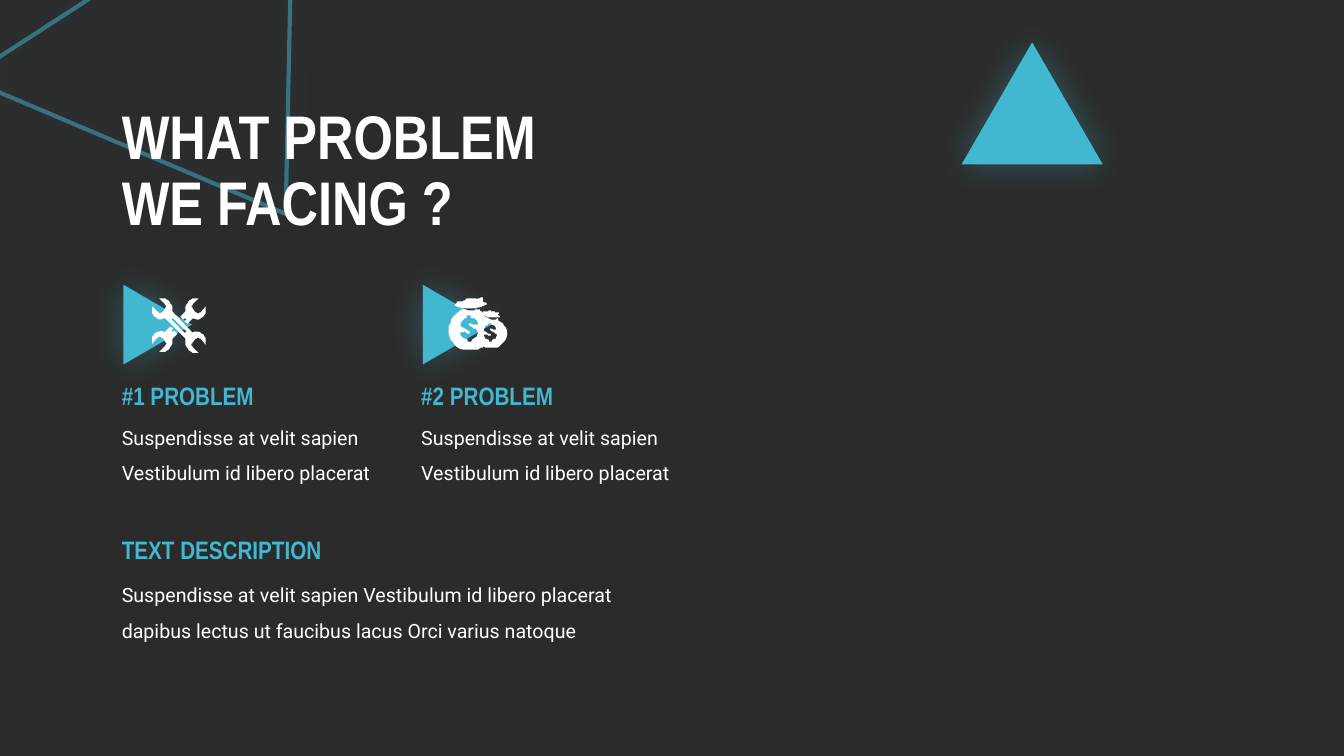
from dataclasses import dataclass

from lxml.etree import SubElement
from pptx import Presentation
from pptx.dml.color import RGBColor
from pptx.enum.shapes import MSO_SHAPE
from pptx.enum.text import MSO_ANCHOR, MSO_AUTO_SIZE
from pptx.oxml.ns import qn
from pptx.shapes.autoshape import Shape
from pptx.slide import Slide
from pptx.util import Pt

DARK = RGBColor(0x2B, 0x2B, 0x2B)
CYAN = RGBColor(0x41, 0xB7, 0xD0)
WHITE = RGBColor(0xFF, 0xFF, 0xFF)

LEFT = 79.92
COLUMN_PITCH = 213.84
ICON_UNIT = 0.72
WRENCH_SIZE = 55
CURVE_STEPS = 6


@dataclass(frozen=True)
class Triangle:
    left: float
    top: float
    width: float
    height: float
    rotation: float = 0
    outlined: bool = False


@dataclass(frozen=True)
class TextStyle:
    font: str
    size: float
    color: RGBColor
    bold: bool = False
    line_spacing: float | None = None
    anchor: MSO_ANCHOR = MSO_ANCHOR.TOP
    auto_size: MSO_AUTO_SIZE = MSO_AUTO_SIZE.SHAPE_TO_FIT_TEXT


@dataclass(frozen=True)
class Label:
    text: str
    left: float
    top: float
    width: float
    height: float
    style: TextStyle


@dataclass(frozen=True)
class Icon:
    left: float
    top: float
    pieces: tuple[tuple[str, ...], ...]
    mirrored: tuple[int, ...] = ()


TITLE = TextStyle("Arial Narrow", 44, WHITE, True, 0.9, MSO_ANCHOR.MIDDLE, MSO_AUTO_SIZE.NONE)
HEADING = TextStyle("Arial Narrow", 18, CYAN, True)
BODY = TextStyle("Roboto", 14, WHITE, line_spacing=1.5)

WRENCH_HEAD = (
    "32 22, 33 21, 34 21, 35 22 35 22 34 23, 33 24, 36 26, 41 21, 45 22 49 22 52 19,"
    "54 16 55 12 54 9, 49 15, 47 16 46 16 44 15, 41 11, 40 10 40 8 41 7, 47 1,"
    "43 0 39 1 37 4, 34 7 33 11 34 14, 29 19"
)
WRENCH_BODY = (
    "52 37, 49 34 45 33 41 35, 21 14, 22 11 21 7 18 4, 16 1 12 0 8 1, 14 7,"
    "15 8 15 10 14 11, 11 15, 9 16 8 16 7 15, 1 9, 0 12 1 16 3 19, 6 22 10 22 14 21,"
    "34 41, 33 45 34 49 37 52, 39 55 43 55 47 55, 41 49, 40 48 40 46 41 45, 44 41,"
    "46 40 47 40 49 41, 54 47, 55 44 54 40 52 37"
)
WRENCH_SLOT = "34 35, 33 35, 21 23, 20 22 20 22 21 21, 22 21, 34 33, 35 33 35 34 34 35"
BAGS = (
    "49 23, 50 22 50 22 49 22, 49 21, 48 21 47 22 45 22, 39 22 35 19 34 17,"
    "36 18 39 20 40 20, 41 20, 44 21 51 20 51 20, 51 19, 50 18 49 18 49 17,"
    "50 16 50 16 50 15, 49 15, 46 15, 46 15 46 14 45 14, 44 14 41 13 40 13,"
    "39 14 38 15 37 14, 36 14, 36 14 35 13 35 14, 34 14 34 15 34 15, 33 15,"
    "33 14 32 14 31 13, 31 12, 29 12 25 13 22 13, 19 13 15 12 13 12, 12 13,"
    "5 17 0 24 0 33, 0 39 3 45 8 49, 13 53 27 54 32 50, 33 50 34 49 35 49,"
    "39 51 47 51 50 49, 54 46 58 41 58 36, 58 30 54 25 49 23"
)
LARGE_DOLLAR = (
    "23 42, 23 44, 19 44, 19 42, 14 41 12 39 11 35, 12 35, 16 34, 17 34,"
    "17 36 19 36 20 36, 21 36 21 36 21 35, 21 34 20 33 16 31, 13 30 12 29 12 27,"
    "12 24 14 21 18 21, 18 18, 21 18, 22 18 22 18 22 20, 26 21 29 23 29 26,"
    "29 27 29 27 28 27, 24 27, 24 27 23 26 21 26, 20 26 20 26 20 27,"
    "20 28 22 28 24 30, 27 31 29 33 29 35, 29 38 27 41 23 42"
)
SMALL_DOLLAR = (
    "43 42, 43 44, 41 44, 40 44 40 44 40 42, 37 42 35 40 35 37, 38 37, 39 37,"
    "39 38 40 38 41 38, 42 38, 42 37 41 36 38 35, 36 34 35 33 35 32,"
    "35 30 37 28 39 27, 39 26, 42 26, 42 27, 45 27 47 29 47 31, 47 32, 44 32,"
    "44 32 44 31 42 31, 41 31 41 31 41 32, 41 32 42 33 44 34, 46 35 47 36 48 37,"
    "48 40 46 42 43 42"
)
BAG_KNOT = (
    "14 11, 21 11, 25 11 28 11 31 10, 38 7, 38 7 38 6 36 5, 35 5 33 4 34 3, 34 0, 33 0,"
    "31 0 28 2 28 2, 28 2 28 1 25 1, 18 1, 17 2 15 4 13 4, 9 4, 8 5 8 6 8 6,"
    "8 6 6 6 6 8, 11 10 14 11 14 11"
)

BACKDROP = Triangle(9.36, -36, 277.92, 205.2, 147.1, True)
ACCENT = Triangle(686.88, 30.24, 100.8, 87.12)
ICONS = (
    Icon(108, 212.4, ((WRENCH_HEAD,), (WRENCH_HEAD,), (WRENCH_BODY, WRENCH_SLOT)), (1,)),
    Icon(320.4, 212.4, ((BAGS, LARGE_DOLLAR, SMALL_DOLLAR), (BAG_KNOT,))),
)
LABELS = (
    Label("WHAT PROBLEM\vWE FACING ?", LEFT, 66.24, 404.64, 113.76, TITLE),
    Label("TEXT DESCRIPTION", LEFT, 378, 176.4, 28.8, HEADING),
    Label(
        "Suspendisse at velit sapien Vestibulum id libero placerat "
        "dapibus lectus ut faucibus lacus Orci varius natoque",
        LEFT, 404.64, 369.36, 55.44, BODY,
    ),
)


def add_glow(shape: Shape) -> None:
    shape.shadow.inherit = False
    effects = shape._element.spPr.find(qn("a:effectLst"))
    glow = SubElement(effects, qn("a:outerShdw"), blurRad=str(Pt(25)), dist="0", dir="0", algn="ctr", rotWithShape="0")
    color = SubElement(glow, qn("a:srgbClr"), val=str(CYAN))
    SubElement(color, qn("a:alpha"), val="35000")


def draw_triangle(slide: Slide, triangle: Triangle) -> None:
    shape = slide.shapes.add_shape(
        MSO_SHAPE.ISOSCELES_TRIANGLE,
        Pt(triangle.left), Pt(triangle.top), Pt(triangle.width), Pt(triangle.height),
    )
    shape.rotation = triangle.rotation
    if triangle.outlined:
        shape.fill.background()
        shape.line.color.rgb = CYAN
        shape.line.width = Pt(3)
        color = shape._element.spPr.find(qn("a:ln")).find(".//" + qn("a:srgbClr"))
        SubElement(color, qn("a:alpha"), val="50000")
    else:
        shape.fill.solid()
        shape.fill.fore_color.rgb = CYAN
        shape.line.fill.background()
    add_glow(shape)


def draw_label(slide: Slide, label: Label) -> None:
    box = slide.shapes.add_textbox(Pt(label.left), Pt(label.top), Pt(label.width), Pt(label.height))
    style, frame = label.style, box.text_frame
    frame.word_wrap = True
    frame.auto_size = style.auto_size
    frame.vertical_anchor = style.anchor
    frame.text = label.text
    para = frame.paragraphs[0]
    if style.line_spacing:
        para.line_spacing = style.line_spacing
    for span in para.runs:
        span.font.name = style.font
        span.font.size = Pt(style.size)
        span.font.bold = style.bold
        span.font.color.rgb = style.color


def trace(contour: str) -> list[tuple[float, float]]:
    points: list[tuple[float, float]] = []
    for node in contour.split(","):
        values = [float(value) for value in node.split()]
        if len(values) == 2:
            points.append((values[0], values[1]))
            continue
        controls = [points[-1], *zip(values[::2], values[1::2])]
        for step in range(1, CURVE_STEPS + 1):
            t = step / CURVE_STEPS
            weights = ((1 - t) ** 3, 3 * t * (1 - t) ** 2, 3 * t**2 * (1 - t), t**3)
            x, y = (sum(w * c[axis] for w, c in zip(weights, controls)) for axis in (0, 1))
            points.append((x, y))
    return points


def draw_icon(slide: Slide, icon: Icon) -> None:
    group = slide.shapes.add_group_shape()
    for index, piece in enumerate(icon.pieces):
        contours = [trace(contour) for contour in piece]
        if index in icon.mirrored:
            contours = [[(WRENCH_SIZE - x, WRENCH_SIZE - y) for x, y in points] for points in contours]
        builder = group.shapes.build_freeform(*contours[0][0], scale=Pt(ICON_UNIT))
        builder.add_line_segments(contours[0][1:], close=True)
        for points in contours[1:]:
            builder.move_to(*points[0])
            builder.add_line_segments(points[1:], close=True)
        shape = builder.convert_to_shape(Pt(icon.left), Pt(icon.top))
        shape.shadow.inherit = False
        shape.fill.solid()
        shape.fill.fore_color.rgb = WHITE
        shape.line.fill.background()


def main() -> None:
    deck = Presentation()
    deck.slide_width, deck.slide_height = Pt(960), Pt(540)
    page = deck.slides.add_slide(deck.slide_layouts[6])
    page.background.fill.solid()
    page.background.fill.fore_color.rgb = DARK
    draw_triangle(page, BACKDROP)
    draw_triangle(page, ACCENT)
    for number, icon in enumerate(ICONS, start=1):
        left = LEFT + (number - 1) * COLUMN_PITCH
        draw_triangle(page, Triangle(left + 4.32, 207.36, 56.88, 48.96, 90))
        draw_label(page, Label("Suspendisse at velit sapien Vestibulum id libero placerat", left, 292.32, 193.68, 55.44, BODY))
        draw_label(page, Label(f"#{number} PROBLEM", left, 267.84, 159.12, 28.8, HEADING))
        draw_icon(page, icon)
    for label in LABELS:
        draw_label(page, label)
    deck.save("out.pptx")


if __name__ == "__main__":
    main()
